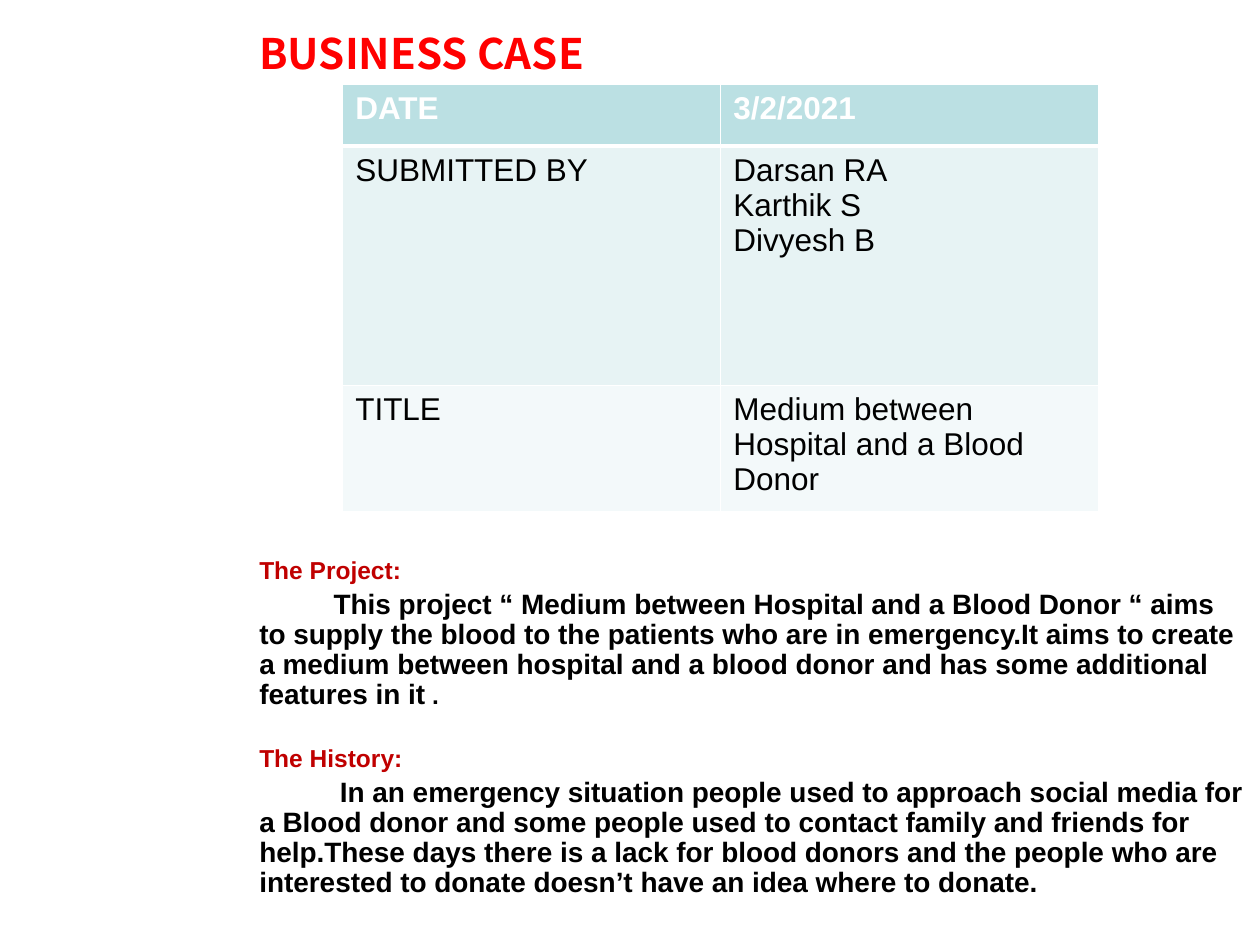
import pptx
import pptx.dml.color
import pptx.enum.text
import pptx.oxml
import pptx.oxml.ns
import pptx.util

Inches, Pt = pptx.util.Inches, pptx.util.Pt
ANCHOR = pptx.enum.text.MSO_ANCHOR

# Content
COLORS = {"title": "FF0000", "heading": "C00000", "body": "000000",
          "header_text": "FFFFFF", "border": "FFFFFF"}
TITLE = "BUSINESS CASE"
CASE_ROWS = [  # height, fill, cells as lists of lines
    (0.49, "BBE0E3", [["DATE"], ["3/2/2021"]]),
    (1.9, "E7F3F4", [["SUBMITTED BY"], ["Darsan RA", "Karthik S", "Divyesh B"]]),
    (1.0, "F3F9FA", [["TITLE"], ["Medium between Hospital and a Blood Donor"]]),
]
SECTIONS = [  # heading, first-line indent, body, closing mark
    ("The Project:", 0.59,
     "This project “ Medium between Hospital and a Blood Donor “ aims to supply "
     "the blood to the patients who are in emergency.It aims to create a medium "
     "between hospital and a blood donor and has some additional features in it",
     " ."),
    ("The History:", 0.64,
     "In an emergency situation people used to approach social media for a Blood "
     "donor and some people used to contact family and friends for help.These days "
     "there is a lack for blood donors and the people who are interested to donate "
     "doesn’t have an idea where to donate.", ""),
]

# Text formats
FORMATS = {
    "title": {"name": "Noto Sans CJK TC", "size": Pt(24), "bold": True},
    "header": {"name": "Arial", "size": Pt(18), "bold": True},
    "cell": {"name": "Arial", "size": Pt(18), "bold": False},
    "small": {"name": "Arial", "size": Pt(14), "bold": True},
    "body": {"name": "Arial", "size": Pt(16), "bold": True},
}


def rgb(hex_color):
    return pptx.dml.color.RGBColor.from_string(hex_color)


def add_run(paragraph, text, style, color):
    run = paragraph.add_run()
    run.text = text
    for attribute, value in FORMATS[style].items():
        setattr(run.font, attribute, value)
    run.font.color.rgb = rgb(COLORS[color])


def add_text_frame(slide, left, top, width, height, anchor):
    frame = slide.shapes.add_textbox(
        *map(Inches, (left, top, width, height))).text_frame
    frame.word_wrap = True
    frame.vertical_anchor = anchor
    return frame


def next_paragraph(frame, index):
    return frame.add_paragraph() if index else frame.paragraphs[0]


def set_borders(cell, widths):
    properties = cell._tc.get_or_add_tcPr()
    for side, width in widths.items():
        properties.append(pptx.oxml.parse_xml(
            f'<a:ln{side} {pptx.oxml.ns.nsdecls("a")} w="{Pt(width)}"><a:solidFill>'
            f'<a:srgbClr val="{COLORS["border"]}"/></a:solidFill></a:ln{side}>'))


prs = pptx.Presentation()
prs.slide_width, prs.slide_height = Inches(10), Inches(7.5)
slide = prs.slides.add_slide(prs.slide_layouts[6])

# Title
title = add_text_frame(slide, 1.96, 0.05, 6, 0.62, ANCHOR.BOTTOM)
add_run(title.paragraphs[0], TITLE, "title", "title")

# Project description, one heading and one paragraph per section
description = add_text_frame(slide, 1.96, 4.38, 8.03, 3.04, ANCHOR.TOP)
for index, (heading, indent, body, closing) in enumerate(SECTIONS):
    heading_line = next_paragraph(description, index)
    heading_line.space_before = Pt(20 if index else 0)
    add_run(heading_line, heading, "small", "heading")
    body_text = description.add_paragraph()
    body_text.space_before = Pt(3.2)
    body_text._p.get_or_add_pPr().set("indent", str(Inches(indent)))
    add_run(body_text, body, "body", "body")
    if closing:
        add_run(body_text, closing, "small", "body")
for paragraph in description.paragraphs:
    paragraph.line_spacing = 0.9

# Case table, with a thick rule under the header row
total_height = sum(height for height, _, _ in CASE_ROWS)
case_table = slide.shapes.add_table(
    len(CASE_ROWS), 2, *map(Inches, (2.72, 0.67, 6, total_height))).table
for row, (height, fill, cells) in enumerate(CASE_ROWS):
    case_table.rows[row].height = Inches(height)
    style, color = ("cell", "body") if row else ("header", "header_text")
    for column, lines in enumerate(cells):
        cell = case_table.cell(row, column)
        set_borders(cell, {"L": 1, "R": 1, "T": 3 if row == 1 else 1,
                           "B": 3 if row == 0 else 1})
        cell.fill.solid()
        cell.fill.fore_color.rgb = rgb(fill)
        for index, line in enumerate(lines):
            add_run(next_paragraph(cell.text_frame, index), line, style, color)

prs.save("out.pptx")
